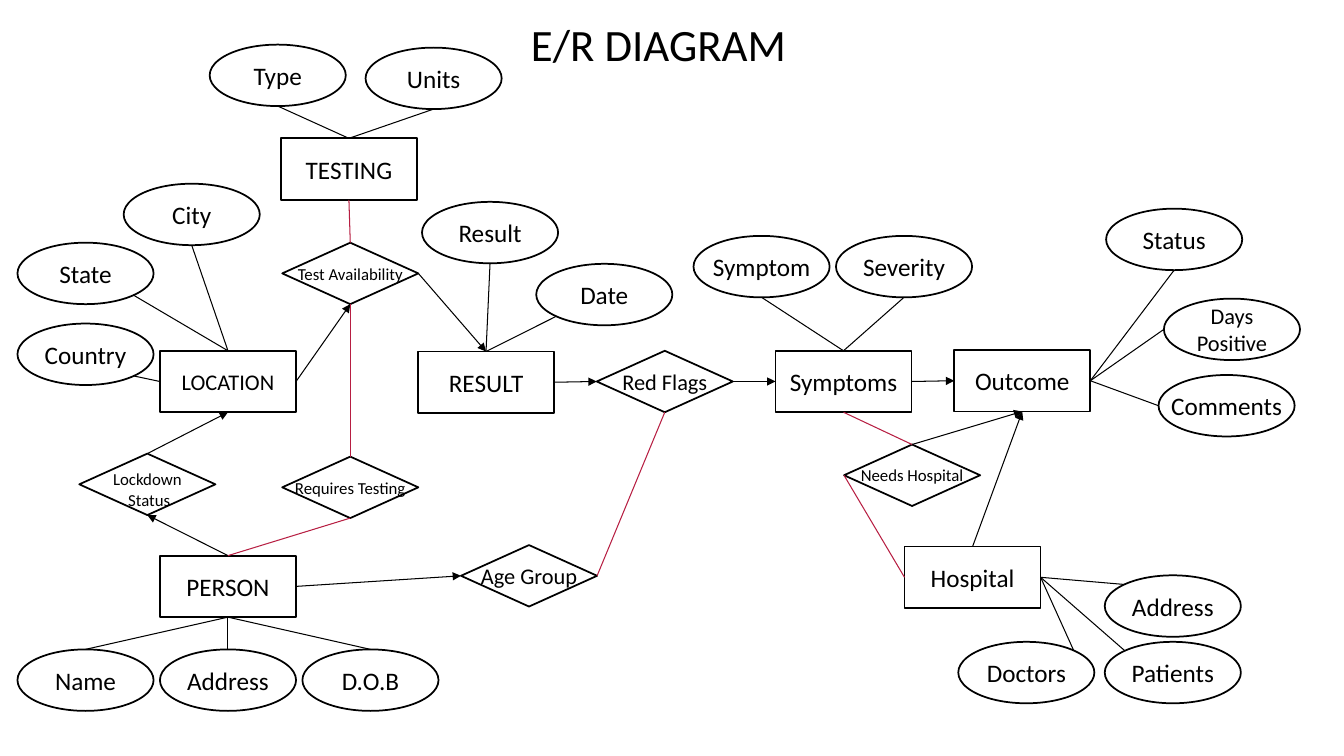
from dataclasses import dataclass

from lxml import etree
from pptx import Presentation
from pptx.dml.color import RGBColor
from pptx.enum.shapes import MSO_CONNECTOR, MSO_SHAPE
from pptx.enum.text import MSO_ANCHOR, PP_ALIGN
from pptx.oxml.ns import qn
from pptx.util import Inches, Pt

ENTITY = MSO_SHAPE.RECTANGLE
ATTRIBUTE = MSO_SHAPE.OVAL
RELATION = MSO_SHAPE.DIAMOND
STRAIGHT = MSO_CONNECTOR.STRAIGHT
CENTER = PP_ALIGN.CENTER
TOP, MIDDLE = MSO_ANCHOR.TOP, MSO_ANCHOR.MIDDLE


@dataclass(frozen=True)
class Theme:
    font: str = "Calibri"
    black: RGBColor = RGBColor(0x00, 0x00, 0x00)
    white: RGBColor = RGBColor(0xFF, 0xFF, 0xFF)
    red: RGBColor = RGBColor(0xB7, 0x1E, 0x42)
    title: int = 32
    large: int = 18
    medium: int = 16
    small: int = 12
    outline: float = 1.25
    link: float = 0.75


THEME = Theme()
LARGE, MEDIUM, SMALL = THEME.large, THEME.medium, THEME.small
SLIDE_WIDTH, SLIDE_HEIGHT = 13.33, 7.5
NODE_WIDTH, NODE_HEIGHT = 1.35, 0.61

TITLE = "E/R DIAGRAM"
TITLE_SHARES = (9.6, 2.4, 78.8, 15.3)

# Each node: kind, label lines, type size, left and top as percent of the slide.
NODES = {
    "name": (ATTRIBUTE, ["Name"], LARGE, 1.3, 85.9),
    "home": (ATTRIBUTE, ["Address"], LARGE, 11.9, 85.9),
    "birth": (ATTRIBUTE, ["D.O.B"], LARGE, 22.5, 85.9),
    "person": (ENTITY, ["PERSON"], LARGE, 11.9, 73.5),
    "lockdown": (RELATION, ["Lockdown", " Status"], SMALL, 5.9, 60),
    "location": (ENTITY, ["LOCATION"], MEDIUM, 11.9, 46.4),
    "city": (ATTRIBUTE, ["City"], LARGE, 9.2, 24.3),
    "state": (ATTRIBUTE, ["State"], LARGE, 1.3, 32.1),
    "country": (ATTRIBUTE, ["Country"], LARGE, 1.3, 42.8),
    "availability": (RELATION, ["Test Availability"], SMALL, 21, 32.1),
    "testing": (ENTITY, ["TESTING"], LARGE, 20.9, 18.3),
    "requires": (RELATION, ["Requires Testing"], SMALL, 21, 60.4),
    "result": (ENTITY, ["RESULT"], LARGE, 31.1, 46.5),
    "flags": (RELATION, ["Red Flags"], MEDIUM, 44.4, 46.4),
    "age": (RELATION, ["Age Group"], MEDIUM, 34.3, 72.1),
    "symptoms": (ENTITY, ["Symptoms"], LARGE, 57.7, 46.4),
    "needs": (RELATION, ["Needs Hospital"], SMALL, 62.8, 58.8),
    "hospital": (ENTITY, ["Hospital"], LARGE, 67.3, 72.3),
    "outcome": (ENTITY, ["Outcome"], LARGE, 71, 46.3),
    "type": (ATTRIBUTE, ["Type"], LARGE, 15.6, 5.9),
    "units": (ATTRIBUTE, ["Units"], LARGE, 27.2, 6.3),
    "date": (ATTRIBUTE, ["Date"], LARGE, 39.9, 34.9),
    "value": (ATTRIBUTE, ["Result"], LARGE, 31.4, 26.7),
    "symptom": (ATTRIBUTE, ["Symptom"], LARGE, 51.6, 31.2),
    "severity": (ATTRIBUTE, ["Severity"], LARGE, 62.2, 31.2),
    "comments": (ATTRIBUTE, ["Comments"], LARGE, 86.2, 49.6),
    "days": (ATTRIBUTE, ["Days Positive"], MEDIUM, 86.6, 39.5),
    "status": (ATTRIBUTE, ["Status"], LARGE, 82.3, 27.6),
    "doctors": (ATTRIBUTE, ["Doctors"], LARGE, 71.3, 84.9),
    "patients": (ATTRIBUTE, ["Patients"], LARGE, 82.2, 84.9),
    "clinic": (ATTRIBUTE, ["Address"], LARGE, 82.2, 76.1),
}
LABEL_DROP = {"lockdown": 0.05}

ATTRIBUTE_LINKS = [
    ("name top", "person bottom"), ("home top", "person bottom"),
    ("birth top", "person bottom"), ("location left", "country lower_right"),
    ("location top", "state lower_right"), ("location top", "city bottom"),
    ("result top", "date lower_left"), ("result top", "value bottom"),
    ("testing top", "type bottom"), ("testing top", "units bottom"),
    ("symptoms top", "symptom bottom"), ("symptoms top", "severity bottom"),
    ("hospital right", "clinic upper_left"), ("hospital right", "patients upper_left"),
    ("hospital right", "doctors upper_right"), ("outcome right", "days left"),
    ("outcome right", "status bottom"), ("outcome right", "comments left"),
]
ARROW_LINKS = [
    ("location right", "availability bottom"), ("person top", "lockdown bottom"),
    ("availability right", "result top"), ("person right", "age left"),
    ("result right", "flags left"), ("hospital top", "outcome bottom"),
    ("needs top", "outcome bottom"), ("lockdown top", "location bottom"),
    ("flags right", "symptoms left"), ("symptoms right", "outcome left"),
]
RED_LINKS = [
    ("availability bottom", "requires top"), ("availability top", "testing bottom"),
    ("hospital left", "needs left"), ("needs top", "symptoms bottom"),
    ("requires bottom", "person top"), ("flags bottom", "age right"),
]
ANCHORS = {
    "top": (0.5, 0), "bottom": (0.5, 1), "left": (0, 0.5), "right": (1, 0.5),
    "upper_left": (0.15, 0.15), "upper_right": (0.85, 0.15),
    "lower_left": (0.15, 0.85), "lower_right": (0.85, 0.85),
}


def corner(left, top):
    return left / 100 * SLIDE_WIDTH, top / 100 * SLIDE_HEIGHT


def add_text(slide, box, lines, size, anchor, spacing=1.0):
    frame = slide.shapes.add_textbox(*map(Inches, box)).text_frame
    frame.word_wrap = True
    frame.vertical_anchor = anchor
    for index, line in enumerate(lines):
        paragraph = frame.add_paragraph() if index else frame.paragraphs[0]
        paragraph.alignment = CENTER
        paragraph.line_spacing = spacing
        run = paragraph.add_run()
        run.text = line
        run.font.name = THEME.font
        run.font.size = Pt(size)
        run.font.color.rgb = THEME.black


def add_node(slide, key):
    kind, lines, size, left_share, top_share = NODES[key]
    left, top = corner(left_share, top_share)
    box = (left, top, NODE_WIDTH, NODE_HEIGHT)
    shape = slide.shapes.add_shape(kind, *map(Inches, box))
    shape.shadow.inherit = False
    shape.fill.solid()
    shape.fill.fore_color.rgb = THEME.white
    shape.line.color.rgb = THEME.black
    shape.line.width = Pt(THEME.outline)
    height = len(lines) * size / 60 + 0.1
    label_top = top + (NODE_HEIGHT - height) / 2 + LABEL_DROP.get(key, 0)
    add_text(slide, (left, label_top, NODE_WIDTH, height), lines, size, MIDDLE)


def anchor_point(end):
    key, side = end.split()
    left, top = corner(*NODES[key][3:])
    across, down = ANCHORS[side]
    return Inches(left + across * NODE_WIDTH), Inches(top + down * NODE_HEIGHT)


def add_link(slide, start, end, color, arrow):
    connector = slide.shapes.add_connector(STRAIGHT, *anchor_point(start), *anchor_point(end))
    connector.line.color.rgb = color
    connector.line.width = Pt(THEME.link)
    if arrow:
        etree.SubElement(connector.line._get_or_add_ln(), qn("a:tailEnd"), type="triangle")
    etree.SubElement(connector._element.spPr, qn("a:effectLst"))


def main():
    presentation = Presentation()
    presentation.slide_width = Inches(SLIDE_WIDTH)
    presentation.slide_height = Inches(SLIDE_HEIGHT)
    slide = presentation.slides.add_slide(presentation.slide_layouts[6])
    left, top, width, height = TITLE_SHARES
    title_box = (*corner(left, top), *corner(width, height))
    add_text(slide, title_box, [TITLE], THEME.title, TOP, 0.9)
    for key in NODES:
        add_node(slide, key)
    for links, color, arrow in (
        (ATTRIBUTE_LINKS, THEME.black, False),
        (ARROW_LINKS, THEME.black, True),
        (RED_LINKS, THEME.red, False),
    ):
        for start, end in links:
            add_link(slide, start, end, color, arrow)
    presentation.save("out.pptx")


if __name__ == "__main__":
    main()
